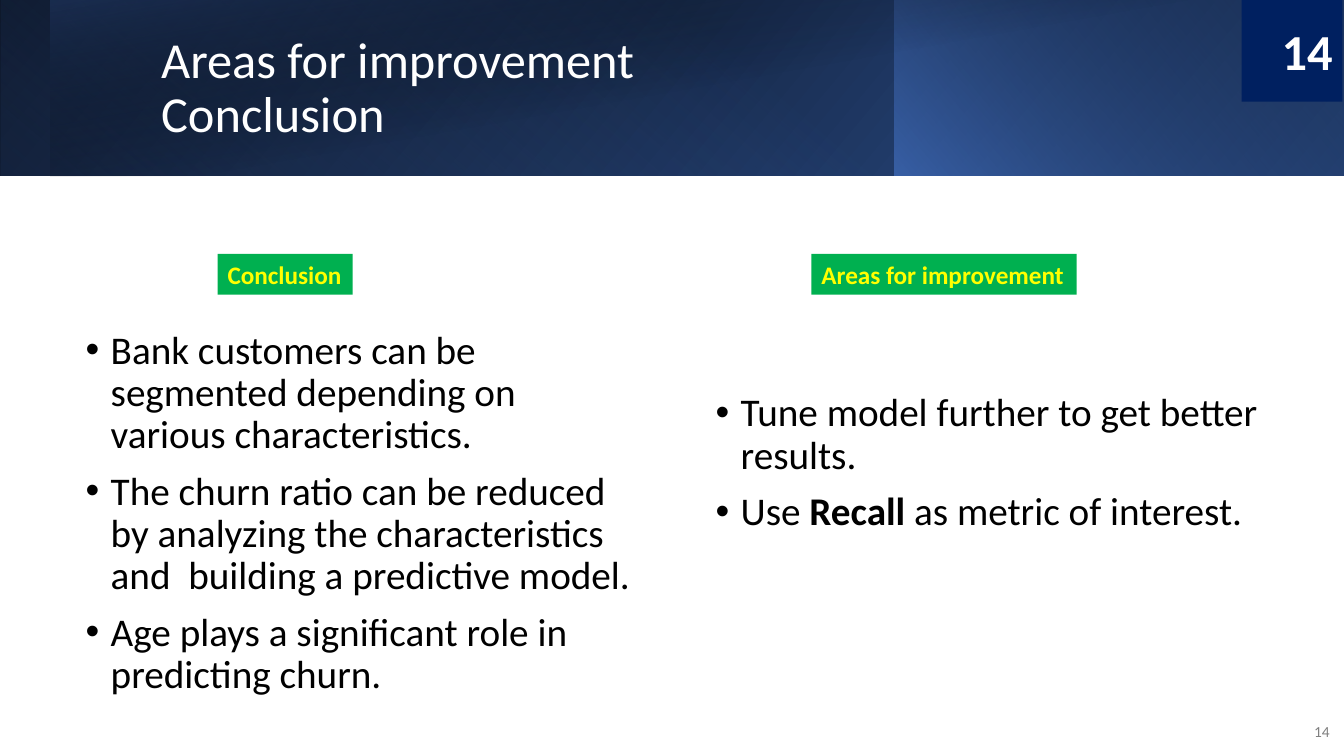
from dataclasses import dataclass, field
from typing import Any

from pptx import Presentation, oxml
from pptx import util as u
from pptx.dml.color import RGBColor
from pptx.enum import shapes, text
from pptx.oxml import ns


@dataclass(frozen=True)
class Theme:
    """Colours, font and type sizes of the slide."""
    font: str = "Calibri"
    white: str = "FFFFFF"
    black: str = "000000"
    grey: str = "808080"
    yellow: str = "FFFF00"
    green: str = "00B050"
    badge: str = "002060"
    navy: str = "203864"
    royal: str = "2F5597"
    azure: str = "4472C4"
    heading: int = 36
    body: int = 28
    tag: int = 18
    footer: int = 11


THEME = Theme()


@dataclass(frozen=True)
class Box:
    """Place of an element in points."""
    left: float
    top: float
    width: float
    height: float

    def lengths(self) -> list[Any]:
        """Return the four lengths in slide units."""
        return [u.Pt(n) for n in (self.left, self.top, self.width, self.height)]


@dataclass(frozen=True)
class Stop:
    """One gradient stop with its opacity in percent."""
    position: int
    color: str
    opacity: int = 100


@dataclass(frozen=True)
class Band:
    """One mirrored gradient layer of the header."""
    box: Box
    angle: int
    stops: tuple[Stop, Stop]
    rotation: int = 0


@dataclass(frozen=True)
class Label:
    """A short text, with a fill colour if it stands on a block."""
    box: Box
    lines: tuple[str, ...]
    size: int
    color: str
    fill: str = ""
    bold: bool = False
    wrap: bool = True
    paragraph: dict[str, Any] = field(default_factory=dict)


@dataclass(frozen=True)
class BulletList:
    """Bulleted items, each a tuple of runs that alternate plain and bold."""
    box: Box
    inset: float
    items: tuple[tuple[str, ...], ...]


RIGHT = {"alignment": text.PP_ALIGN.RIGHT}
BULLET = {"line_spacing": 0.9, "space_before": u.Pt(10)}
HEADER = 125.3

BANDS = [
    Band(Box(0, 0, 960, HEADER), 140, (Stop(0, THEME.black), Stop(100, THEME.royal))),
    Band(Box(0, 0, 639, HEADER), 230,
         (Stop(20, THEME.azure, 0), Stop(100, THEME.navy, 55)), 180),
    Band(Box(639, 0, 321, HEADER), 220,
         (Stop(0, THEME.azure, 66), Stop(100, THEME.black, 30))),
    Band(Box(36, 0, 924, 126), 280,
         (Stop(50, THEME.black, 0), Stop(99, THEME.navy, 52))),
]

LABELS = [
    Label(Box(108, 23, 779, 81.4), ("Areas for improvement", "Conclusion"),
          THEME.heading, THEME.white, paragraph={"line_spacing": 0.9}),
    Label(Box(921.6, 508.3, 35.3, 28.8), ("14",), THEME.footer, THEME.grey,
          paragraph=RIGHT | {"space_after": u.Pt(6)}),
    Label(Box(887, -0.7, 72, 73.4), ("14",), THEME.heading, THEME.white,
          THEME.badge, True, paragraph=RIGHT),
    Label(Box(155.5, 181.4, 96.5, 29), ("Conclusion",), THEME.tag, THEME.yellow,
          THEME.green, True, False),
    Label(Box(579.6, 181.4, 189.4, 29), ("Areas for improvement",), THEME.tag,
          THEME.yellow, THEME.green, True, False),
]

LISTS = [
    BulletList(Box(504, 195.8, 408, 342.7), 85, (
        ("Tune model further to get better results.",),
        ("Use ", "Recall ", "as metric of interest."),
    )),
    BulletList(Box(54, 191.5, 408, 342.7), 44.4, (
        ("Bank customers can be segmented depending on various characteristics.",),
        ("The churn ratio can be reduced by analyzing the characteristics "
         "and  building a predictive model.",),
        ("Age plays a significant role in predicting churn.",),
    )),
]


def assign(target: Any, values: dict[str, Any]) -> None:
    """Set each named format value on the target."""
    for name, value in values.items():
        setattr(target, name, value)


def add_run(paragraph: Any, words: str, size: int, color: str, bold: bool) -> None:
    """Append a formatted run to a paragraph."""
    run = paragraph.add_run()
    run.text = words
    assign(run.font, {"name": THEME.font, "size": u.Pt(size), "bold": bold})
    run.font.color.rgb = RGBColor.from_string(color)


def add_block(slide: Any, box: Box, fill: str = "") -> Any:
    """Add a plain rectangle without line or shadow."""
    block = slide.shapes.add_shape(shapes.MSO_SHAPE.RECTANGLE, *box.lengths())
    block.shadow.inherit = False
    block.line.fill.background()
    if fill:
        block.fill.solid()
        block.fill.fore_color.rgb = RGBColor.from_string(fill)
    return block


def add_band(slide: Any, band: Band) -> None:
    """Add a mirrored rectangle with a translucent gradient."""
    block = add_block(slide, band.box)
    block.rotation = band.rotation
    properties = block.element.spPr
    properties.find(ns.qn("a:xfrm")).set("flipH", "1")
    stops = "".join(
        f'<a:gs pos="{stop.position * 1000}"><a:srgbClr val="{stop.color}">'
        f'<a:alpha val="{stop.opacity * 1000}"/></a:srgbClr></a:gs>'
        for stop in band.stops)
    gradient = oxml.parse_xml(
        f'<a:gradFill {ns.nsdecls("a")} rotWithShape="1"><a:gsLst>{stops}</a:gsLst>'
        f'<a:lin ang="{band.angle * 60000}" scaled="0"/></a:gradFill>')
    properties.find(ns.qn("a:prstGeom")).addnext(gradient)


def add_label(slide: Any, label: Label) -> None:
    """Add a text box or a filled block with a short text."""
    holder = (add_block(slide, label.box, label.fill) if label.fill
              else slide.shapes.add_textbox(*label.box.lengths()))
    frame = holder.text_frame
    assign(frame, {"word_wrap": label.wrap, "vertical_anchor": text.MSO_ANCHOR.MIDDLE})
    if not label.wrap:
        frame.auto_size = text.MSO_AUTO_SIZE.SHAPE_TO_FIT_TEXT
    paragraph = frame.paragraphs[0]
    assign(paragraph, {"alignment": text.PP_ALIGN.LEFT} | label.paragraph)
    for index, line in enumerate(label.lines):
        if index:
            paragraph.add_line_break()
        add_run(paragraph, line, label.size, label.color, label.bold)


def add_bullets(slide: Any, bullets: BulletList) -> None:
    """Add a text box with hanging bullets."""
    frame = slide.shapes.add_textbox(*bullets.box.lengths()).text_frame
    assign(frame, {"word_wrap": True, "margin_top": u.Pt(bullets.inset)})
    for index, item in enumerate(bullets.items):
        paragraph = frame.add_paragraph() if index else frame.paragraphs[0]
        assign(paragraph, BULLET)
        properties = paragraph._p.get_or_add_pPr()
        properties.set("marL", str(u.Pt(18)))
        properties.set("indent", str(u.Pt(-18)))
        for mark in ('a:buFont {} typeface="Arial"', 'a:buChar {} char="•"'):
            properties.append(oxml.parse_xml(f'<{mark.format(ns.nsdecls("a"))}/>'))
        for order, words in enumerate(item):
            add_run(paragraph, words, THEME.body, THEME.black, order % 2 == 1)


def main() -> None:
    """Build the slide and save it."""
    deck = Presentation()
    assign(deck, {"slide_width": u.Pt(960), "slide_height": u.Pt(540)})
    slide = deck.slides.add_slide(deck.slide_layouts[6])
    add_block(slide, Box(0, 0, 960, 540), THEME.white)
    for band in BANDS:
        add_band(slide, band)
    for label in LABELS:
        add_label(slide, label)
    for bullets in LISTS:
        add_bullets(slide, bullets)
    deck.save("out.pptx")


if __name__ == "__main__":
    main()
